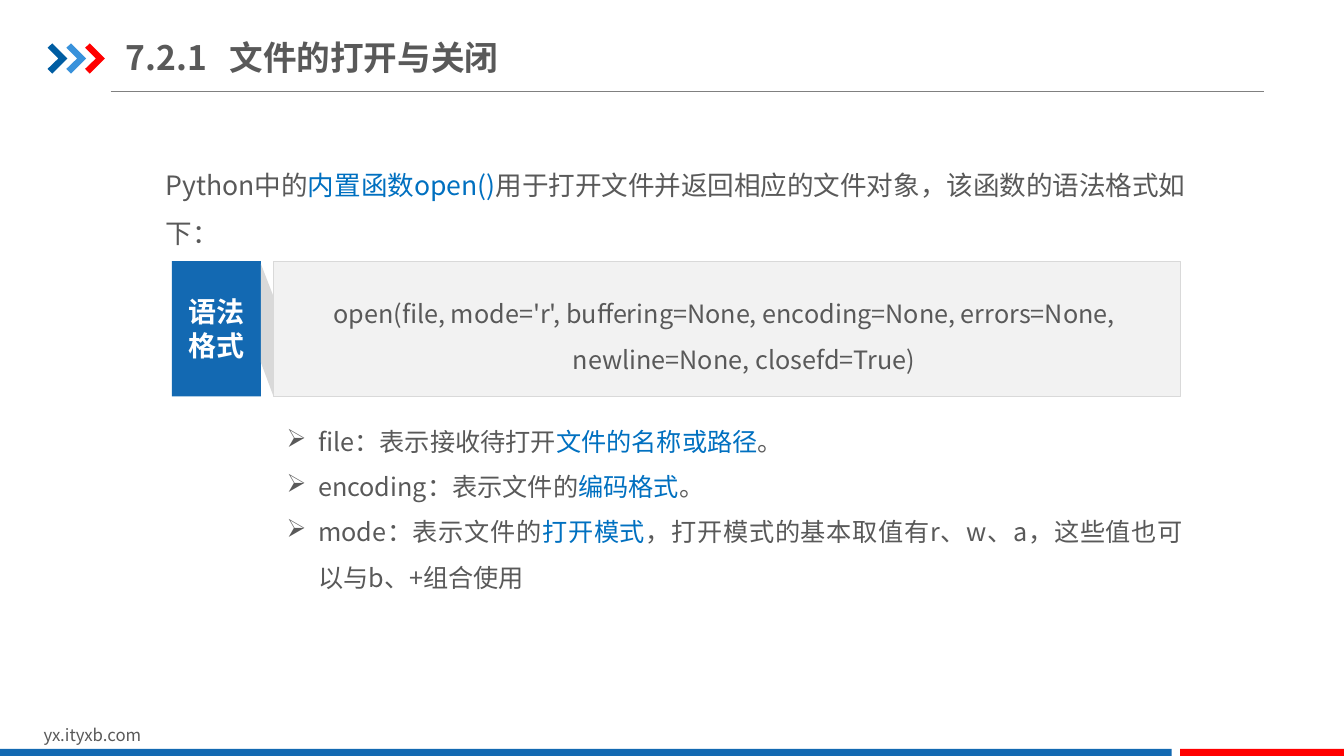
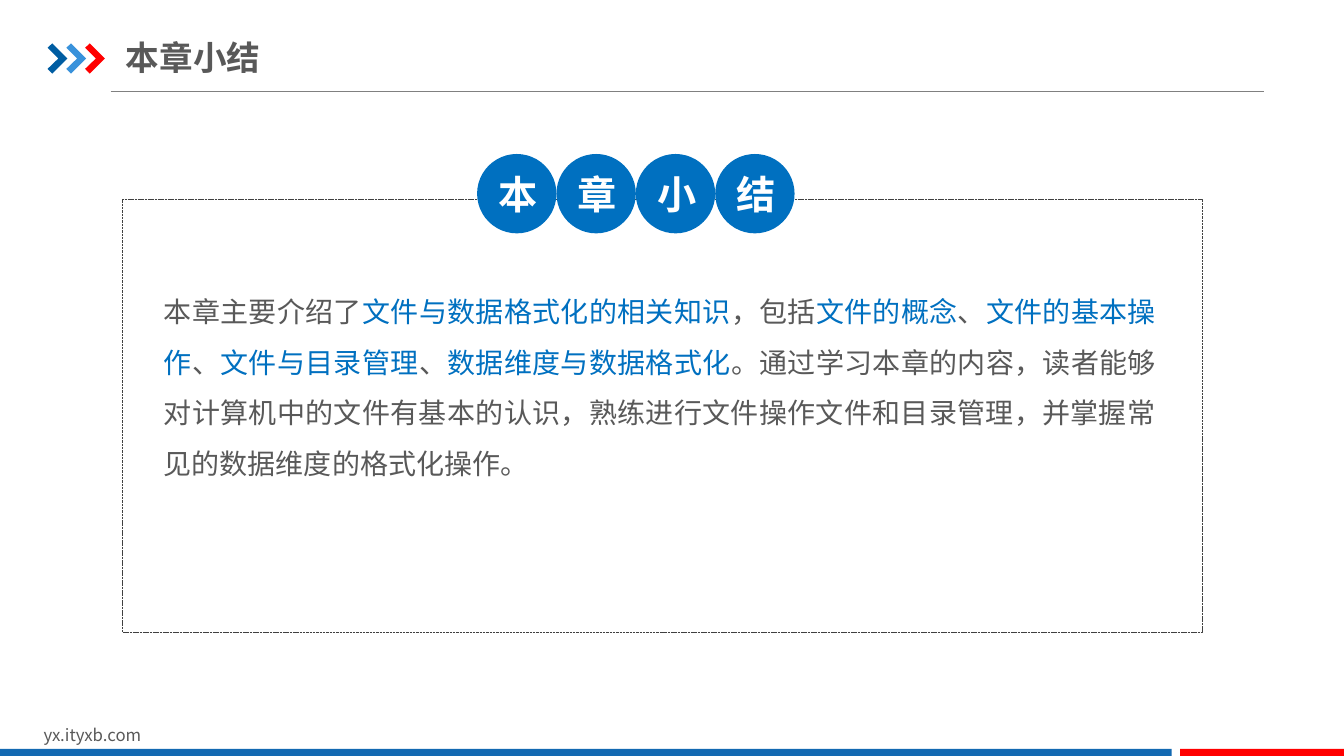
from dataclasses import dataclass

from lxml import etree
from pptx import Presentation, util as u
from pptx.dml.color import RGBColor
from pptx.enum import dml, shapes, text
from pptx.oxml import ns
from pptx.shapes.autoshape import Shape
from pptx.slide import Slide

Pt = u.Pt
FONT = "Noto Sans CJK SC"

GREY = RGBColor(0x59, 0x59, 0x59)
RULE = RGBColor(0x80, 0x80, 0x80)
FRAME = RGBColor(0x40, 0x40, 0x40)
PALE = RGBColor(0xF2, 0xF2, 0xF2)
SILVER = RGBColor(0xD9, 0xD9, 0xD9)
WHITE = RGBColor(0xFF, 0xFF, 0xFF)
BLUE = RGBColor(0x13, 0x69, 0xB2)
ACCENT = RGBColor(0x00, 0x70, 0xC0)
NAVY = RGBColor(0x00, 0x5D, 0xA2)
SKY = RGBColor(0x39, 0x92, 0xDB)
RED = RGBColor(0xFF, 0x00, 0x00)

LEFT, CENTER, JUSTIFY = (text.PP_ALIGN.LEFT, text.PP_ALIGN.CENTER,
                         text.PP_ALIGN.JUSTIFY)
TOP, MIDDLE = text.MSO_ANCHOR.TOP, text.MSO_ANCHOR.MIDDLE
RECT, OVAL = shapes.MSO_SHAPE.RECTANGLE, shapes.MSO_SHAPE.OVAL


@dataclass(frozen=True)
class Box:
    """Left, top, width and height in points."""
    x: float
    y: float
    w: float
    h: float

    def emu(self) -> tuple[int, ...]:
        return tuple(Pt(v) for v in (self.x, self.y, self.w, self.h))


@dataclass(frozen=True)
class Band:
    box: Box
    color: RGBColor


BANDS = (Band(Box(0, 535, 837, 5), BLUE), Band(Box(843, 535, 117, 5), RED))
CHEVRON = ((0, 3.2), (3.3, 0), (14.2, 10.8), (3.3, 21.6), (0, 18.2), (7.7, 10.8))
CHEVRON_COLORS = (NAVY, SKY, RED)


# Drawing helpers
def write(sp: Shape, content: str, *, size: float, color: RGBColor = GREY,
          bold: bool = False, align=LEFT, anchor=TOP, spacing: float = 1,
          insets: tuple[float, float] = (7.2, 3.6), wrap: bool = True,
          grow: bool = False, bullet: str = "", hang: float = 0,
          tab: float = 0) -> None:
    """Fill a shape with one paragraph per line; *starred* parts are accented."""
    tf = sp.text_frame
    tf.word_wrap = wrap
    tf.vertical_anchor = anchor
    tf.margin_left = tf.margin_right = Pt(insets[0])
    tf.margin_top = tf.margin_bottom = Pt(insets[1])
    if grow:
        tf.auto_size = text.MSO_AUTO_SIZE.SHAPE_TO_FIT_TEXT
    for i, line in enumerate(content.split("\n")):
        p = tf.add_paragraph() if i else tf.paragraphs[0]
        pPr = p._p.get_or_add_pPr()
        if bullet:
            pPr.set("marL", str(Pt(hang)))
            pPr.set("indent", str(-Pt(hang)))
            etree.SubElement(pPr, ns.qn("a:buChar"), char=bullet)
        if tab:
            tabs = etree.SubElement(pPr, ns.qn("a:tabLst"))
            etree.SubElement(tabs, ns.qn("a:tab"), pos=str(Pt(tab)), algn="l")
        p.alignment = align
        p.line_spacing = spacing
        for j, part in enumerate(line.split("*")):
            if not part:
                continue
            r = p.add_run()
            r.text = part
            r.font.size, r.font.bold, r.font.name = Pt(size), bold, FONT
            r.font.color.rgb = ACCENT if j % 2 else color
            etree.SubElement(r.font._element, ns.qn("a:ea"), typeface=FONT)


def add_text(s: Slide, box: Box, content: str, **fmt) -> None:
    write(s.shapes.add_textbox(*box.emu()), content, **fmt)


def paint(sp: Shape, fill: RGBColor | None, line: RGBColor | None = None) -> None:
    sp.shadow.inherit = False
    if fill is None:
        sp.fill.background()
    else:
        sp.fill.solid()
        sp.fill.fore_color.rgb = fill
    if line is None:
        sp.line.fill.background()
    else:
        sp.line.color.rgb = line
        sp.line.width = Pt(0.25)


def add_shape(s: Slide, kind, box: Box, fill: RGBColor | None,
              line: RGBColor | None = None) -> Shape:
    sp = s.shapes.add_shape(kind, *box.emu())
    paint(sp, fill, line)
    return sp


def add_polygon(s: Slide, points, fill: RGBColor) -> None:
    start, *rest = [(Pt(x), Pt(y)) for x, y in points]
    builder = s.shapes.build_freeform(*start)
    builder.add_line_segments(rest, close=True)
    paint(builder.convert_to_shape(), fill)


# Parts shared by all slides
def add_page(prs, title: str, tab: float = 0) -> Slide:
    s = prs.slides.add_slide(prs.slide_layouts[6])
    rule = s.shapes.add_connector(shapes.MSO_CONNECTOR.STRAIGHT,
                                  Pt(79), Pt(65.5), Pt(903), Pt(65.5))
    rule.line.color.rgb = RULE
    rule.line.width = Pt(0.75)
    etree.SubElement(rule._element.spPr, ns.qn("a:effectLst"))
    for i, color in enumerate(CHEVRON_COLORS):
        left = 34 + 13.4 * i
        add_polygon(s, [(left + x, 31 + y) for x, y in CHEVRON], color)
    add_text(s, Box(24, 514, 229, 21.6), "yx.ityxb.com", size=12, grow=True)
    for band in BANDS:
        add_shape(s, RECT, band.box, band.color)
    add_text(s, Box(90, 21, 446, 39.6), title, size=24, bold=True,
             anchor=MIDDLE, insets=(0, 5), tab=tab)
    return s


def build_open_slide(prs) -> None:
    s = add_page(prs, "7.2.1\t文件的打开与关闭", tab=74)
    add_text(s, Box(111.4, 106, 743, 72),
             "Python中的*内置函数open()*用于打开文件并返回相应的文件对象，"
             "该函数的语法格式如下：", size=19, spacing=1.5, grow=True)

    # Syntax panel with its label and fold
    panel = add_shape(s, RECT, Box(195.4, 186.6, 648, 96.5), PALE, SILVER)
    write(panel, "open(file, mode='r', buffering=None, encoding=None, errors=None, \n"
                 "      newline=None, closefd=True)",
          size=18, align=CENTER, anchor=MIDDLE, spacing=1.5)
    add_shape(s, RECT, Box(122.8, 186.6, 63.6, 96.5), BLUE)
    add_text(s, Box(127.2, 206.8, 55, 55.7), "语法\n格式", size=20, color=WHITE,
             bold=True, align=CENTER, wrap=False, grow=True)
    add_polygon(s, ((195.3, 211.6), (195.3, 283), (186.4, 259), (186.4, 188.6)),
                SILVER)

    # Parameters
    add_text(s, Box(195.4, 288.5, 659, 136),
             "file：表示接收待打开*文件的名称或路径*。\n"
             "encoding：表示文件的*编码格式*。\n"
             "mode：表示文件的*打开模式*，打开模式的基本取值有r、w、a，"
             "这些值也可以与b、+组合使用",
             size=18, align=JUSTIFY, spacing=1.5, insets=(9.4, 5), grow=True,
             bullet="➢", hang=22.5)


def build_summary_slide(prs) -> None:
    s = add_page(prs, "本章小结")
    frame = add_shape(s, RECT, Box(87.4, 142, 771.4, 309.6), None, FRAME)
    frame.line.dash_style = dml.MSO_LINE.SQUARE_DOT
    add_text(s, Box(117, 198.7, 708.6, 141),
             "本章主要介绍了*文件与数据格式化的相关知识*，包括*文件的概念*、"
             "*文件的基本操作*、*文件与目录管理*、*数据维度与数据格式化*。"
             "通过学习本章的内容，读者能够对计算机中的文件有基本的认识，"
             "熟练进行文件操作文件和目录管理，并掌握常见的数据维度的格式化操作。",
             size=20, align=JUSTIFY, spacing=1.5, insets=(0, 0), grow=True)

    # Heading badges, side by side
    side = 56.7
    for i, char in enumerate("本章小结"):
        badge = add_shape(s, OVAL, Box(340.8 + side * i, 110, side, side), ACCENT)
        write(badge, char, size=28, color=WHITE, bold=True, align=CENTER,
              anchor=MIDDLE)


def main() -> None:
    prs = Presentation()
    prs.slide_width, prs.slide_height = Pt(960), Pt(540)
    build_open_slide(prs)
    build_summary_slide(prs)
    prs.save("out.pptx")


if __name__ == "__main__":
    main()
